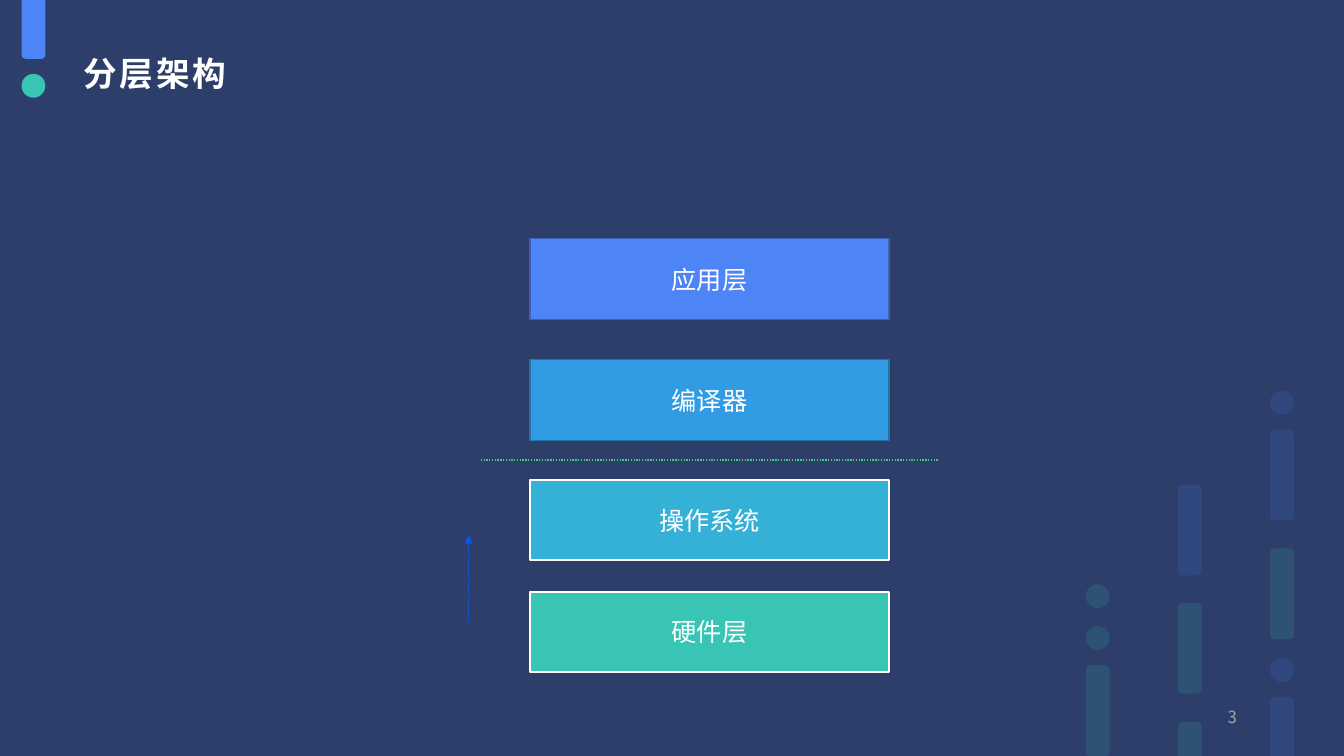
from lxml import etree
from pptx import Presentation
from pptx import util as u
from pptx.dml.color import RGBColor
from pptx.enum import dml, shapes, text
from pptx.oxml.ns import qn

COLORS = {
    "background": "2D3E6A", "white": "FFFFFF", "grey": "A6A6A6",
    "blue": "4D84F6", "teal": "39C5B3", "sky": "319CE4", "cyan": "35B1D7",
    "blue edge": "3962B6", "sky edge": "2473A9",
    "arrow": "0C53E7", "divider": "3BD177",
}
EAST_ASIAN_FONT = "Noto Sans CJK SC"

# label, top, fill, edge, edge width
LAYERS = [
    ("应用层", 170.6, "blue", "blue edge", 1),
    ("编译器", 257, "sky", "sky edge", 1),
    ("操作系统", 342.7, "cyan", "white", 1.5),
    ("硬件层", 422.6, "teal", "white", 1.5),
]
LAYER_LEFT, LAYER_WIDTH, LAYER_HEIGHT = 378.7, 256.3, 57.6

# start, end, colour, width, has arrowhead
LINES = [
    ((334.8, 444.2), (334.8, 382.3), "arrow", 0.5, True),
    ((343.4, 328.5), (670.3, 328.5), "divider", 1, False),
]

# words, box, alignment, format
TEXTS = [
    ("分层架构", (52.6, 34.6, 854.6, 34.6), "LEFT",
     {"size": u.Pt(24), "name": "Arial", "bold": True}, "white", 2),
    ("3", (678.2, 499.7, 212.4, 25.2), "RIGHT",
     {"size": u.Pt(12), "name": EAST_ASIAN_FONT}, "grey", 0),
]

# columns of (kind, top, colour), left to right
DECORATION = [
    [("dot", 417.4, "teal"), ("dot", 447.2, "teal"), ("bar", 475.2, "teal")],
    [("bar", 346.3, "blue"), ("bar", 430.7, "teal"), ("cut bar", 515.6, "teal")],
    [("dot", 279.2, "blue"), ("bar", 307, "blue"), ("bar", 391.7, "teal"),
     ("dot", 470.2, "blue"), ("cut bar", 498.2, "blue")],
]
COLUMN_LEFT, COLUMN_STEP, MARK_WIDTH, BAR_HEIGHT = 775.6, 65.8, 17, 64.8
SLIDE_WIDTH, SLIDE_HEIGHT = 960, 540
KINDS = {
    "dot": shapes.MSO_SHAPE.OVAL,
    "bar": shapes.MSO_SHAPE.ROUNDED_RECTANGLE,
    "cut bar": shapes.MSO_SHAPE.ROUND_2_SAME_RECTANGLE,
    "layer": shapes.MSO_SHAPE.RECTANGLE,
}


def rgb(name):
    """Return the named colour."""
    return RGBColor.from_string(COLORS[name])


def points(*values):
    """Turn numbers into lengths in points."""
    return [u.Pt(value) for value in values]


def add_block(slide, kind, box, color, alpha=None):
    """Add a filled shape without edge or shadow."""
    shape = slide.shapes.add_shape(KINDS[kind], *points(*box))
    shape.shadow.inherit = False
    shape.fill.solid()
    shape.fill.fore_color.rgb = rgb(color)
    shape.line.fill.background()
    if alpha:
        fill = shape._element.spPr.find(qn("a:solidFill"))
        etree.SubElement(fill[0], qn("a:alpha"), val=str(alpha * 1000))
    return shape


def write(shape, words, alignment, formats, color, spacing=0):
    """Write one vertically centred paragraph into a shape."""
    frame = shape.text_frame
    frame.word_wrap = True
    frame.vertical_anchor = text.MSO_ANCHOR.MIDDLE
    paragraph = frame.paragraphs[0]
    paragraph.alignment = getattr(text.PP_ALIGN, alignment)
    run = paragraph.add_run()
    run.text = words
    for key, value in formats.items():
        setattr(run.font, key, value)
    run.font.color.rgb = rgb(color)
    properties = run.font._element
    etree.SubElement(properties, qn("a:ea"), typeface=EAST_ASIAN_FONT)
    if spacing:
        properties.set("spc", str(spacing * 100))


def add_line(slide, start, end, color, width, arrow):
    """Add a dotted line, with an arrowhead at its end if asked."""
    connector = slide.shapes.add_connector(
        shapes.MSO_CONNECTOR.STRAIGHT, *points(*start, *end))
    connector.line.color.rgb = rgb(color)
    connector.line.width = u.Pt(width)
    connector.line.dash_style = dml.MSO_LINE.ROUND_DOT
    properties = connector._element.spPr
    if arrow:
        etree.SubElement(properties.find(qn("a:ln")), qn("a:tailEnd"), type="triangle")
    etree.SubElement(properties, qn("a:effectLst"))


def add_decoration(slide):
    """Add the faint columns at the right and the marks by the title."""
    for index, column in enumerate(DECORATION):
        left = COLUMN_LEFT + index * COLUMN_STEP
        for kind, top, color in column:
            height = {"dot": MARK_WIDTH, "bar": BAR_HEIGHT,
                      "cut bar": SLIDE_HEIGHT - top}[kind]
            add_block(slide, kind, (left, top, MARK_WIDTH, height), color, 15)
    title_bar = add_block(slide, "cut bar", (15.4, 0, MARK_WIDTH, 42), "blue")
    title_bar.rotation = 180
    add_block(slide, "dot", (15.4, 52.8, MARK_WIDTH, MARK_WIDTH), "teal")


def main():
    """Build and save the slide."""
    presentation = Presentation()
    presentation.slide_width, presentation.slide_height = points(SLIDE_WIDTH, SLIDE_HEIGHT)
    slide = presentation.slides.add_slide(presentation.slide_layouts[6])
    slide.background.fill.solid()
    slide.background.fill.fore_color.rgb = rgb("background")
    add_decoration(slide)
    for label, top, color, edge, width in LAYERS:
        box = (LAYER_LEFT, top, LAYER_WIDTH, LAYER_HEIGHT)
        layer = add_block(slide, "layer", box, color)
        layer.line.color.rgb = rgb(edge)
        layer.line.width = u.Pt(width)
        write(layer, label, "CENTER", {"size": u.Pt(18), "name": "Arial"}, "white")
    for line in LINES:
        add_line(slide, *line)
    for words, box, *style in TEXTS:
        write(slide.shapes.add_textbox(*points(*box)), words, *style)
    presentation.save("out.pptx")


main()
